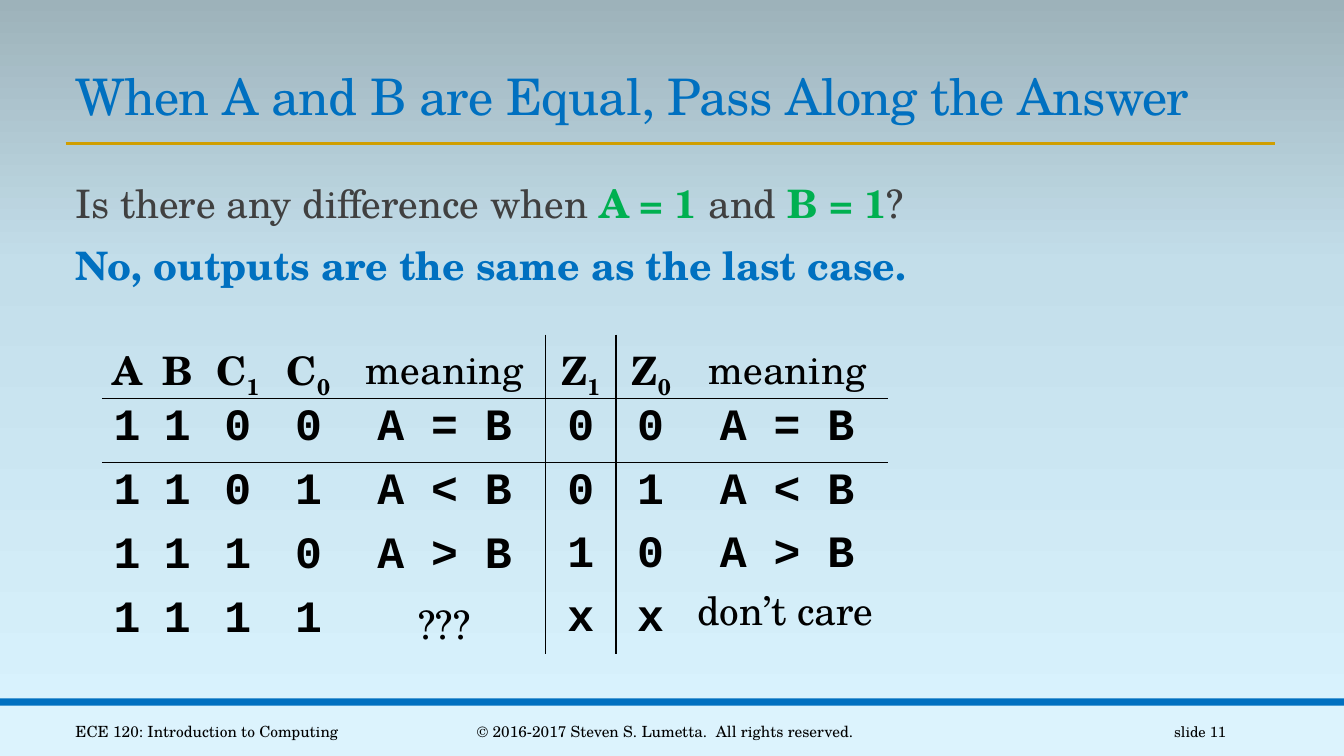
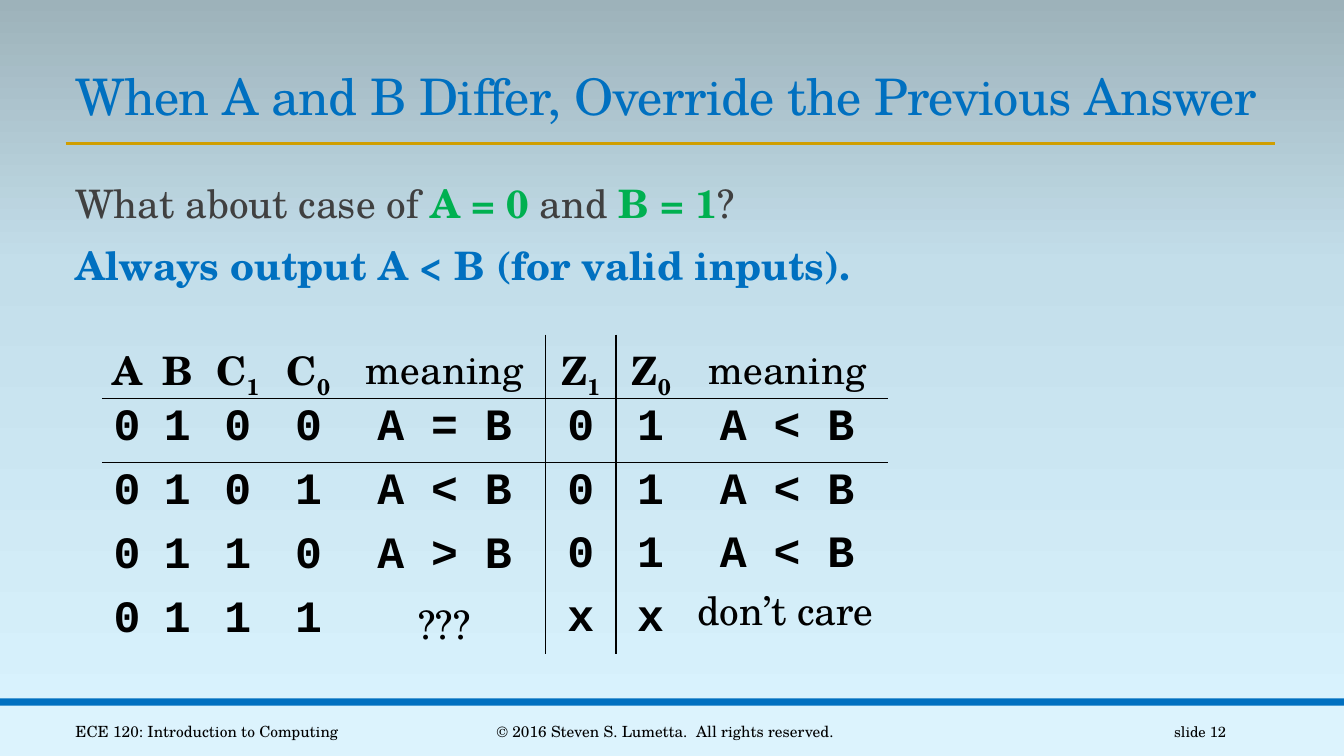
from copy import deepcopy
from dataclasses import dataclass

from lxml import etree
from pptx import Presentation
from pptx.dml.color import RGBColor as RGB
from pptx.enum.shapes import MSO_CONNECTOR as Connector, MSO_SHAPE as Shape
from pptx.enum.text import MSO_ANCHOR as Anchor, MSO_AUTO_SIZE as AutoSize, PP_ALIGN as Align
from pptx.oxml.ns import qn
from pptx.util import Inches, Pt


@dataclass(frozen=True)
class Theme:
    blue: str = "0070C0"
    gold: str = "D09E00"
    green: str = "00B050"
    grey: str = "404040"
    black: str = "000000"
    band: str = "DCF3FD"
    backdrop: tuple = ((0, "DAF4FF"), (0.65, "C3DEEA"), (1, "9DB2BA"))
    serif: str = "TeX Gyre Schola"
    mono: str = "Courier New"
    title_size: float = 36
    body_size: float = 28
    code_size: float = 32
    footer_size: float = 11
    number_size: float = 10.5


T = Theme()
PAGE_W, PAGE_H = 13.33, 7.5
MARGIN = 0.65
NO_GRID_STYLE = "{2D5ABB26-0587-4C30-8999-92F81FD0307C}"

# Truth table: column widths, and headings as (symbol, subscript)
COLUMNS = (0.5, 0.5, 0.7, 0.7, 2, 0.7, 0.7, 2)
HEADINGS = (("A", ""), ("B", ""), ("C", "1"), ("C", "0"), ("meaning", ""),
            ("Z", "1"), ("Z", "0"), ("meaning", ""))
INPUT_COLUMNS = 5
HEADER_H, ROW_H = 0.47, 0.54
PREVIOUS = (("0", "0", "A = B"), ("0", "1", "A < B"),
            ("1", "0", "A > B"), ("1", "1", "???"))
DONT_CARE = ("x", "x", "don’t care")

SLIDES = (
    dict(number=11, title="When A and B are Equal, Pass Along the Answer",
         question=("Is there any difference when ", "A = 1", " and ", "B = 1", "?"),
         answer="No, outputs are the same as the last case.",
         rights="© 2016-2017 Steven S. Lumetta.  All rights reserved.",
         bits=("1", "1"),
         outputs=PREVIOUS[:3] + (DONT_CARE,)),
    dict(number=12, title="When A and B Differ, Override the Previous Answer",
         question=("What about case of ", "A = 0", " and ", "B = 1", "?"),
         answer="Always output A < B (for valid inputs).",
         rights="© 2016 Steven S. Lumetta.  All rights reserved.",
         bits=("0", "1"),
         outputs=(PREVIOUS[1],) * 3 + (DONT_CARE,)),
)


def style(run, size, color=T.black, bold=False, face=T.serif):
    run.font.size, run.font.bold, run.font.name = Pt(size), bold, face
    run.font.color.rgb = RGB.from_string(color)


def style_value(run, value):
    """Codes are bold monospace; words are plain serif."""
    if value in ("???", "don’t care"):
        style(run, T.body_size)
    else:
        style(run, T.code_size, bold=True, face=T.mono)


def add_label(slide, left, top, width, height, text):
    label = slide.shapes.add_textbox(Inches(left), Inches(top), Inches(width), Inches(height))
    label.text_frame.text = text
    return label.text_frame


def paint_backdrop(master):
    fill = master.background.fill
    fill.gradient()
    fill.gradient_angle = 90
    first = fill.gradient_stops[0]
    stop_list = first._gs.getparent()
    stop_list.append(deepcopy(stop_list[-1]))
    for stop, (position, color) in zip(fill.gradient_stops, T.backdrop):
        stop.position = position
        stop.color.rgb = RGB.from_string(color)


def add_frame(slide, number, rights):
    # Footer band and its upper edge
    for top, height, color in ((7, 0.5, T.band), (6.93, 0.07, T.blue)):
        band = slide.shapes.add_shape(Shape.RECTANGLE, 0, Inches(top),
                                      Inches(PAGE_W), Inches(height))
        band.shadow.inherit = False
        band.fill.solid()
        band.fill.fore_color.rgb = RGB.from_string(color)
        band.line.fill.background()

    # Rule under the title
    rule = slide.shapes.add_connector(Connector.STRAIGHT, Inches(MARGIN), Inches(1.42),
                                      Inches(MARGIN + 12), Inches(1.42))
    rule.line.color.rgb = RGB.from_string(T.gold)
    rule.line.width = Pt(2)
    etree.SubElement(rule._element.spPr, qn("a:effectLst"))

    # Footer texts
    for left, width, text, align, size in (
            (MARGIN, 3.25, "ECE 120: Introduction to Computing", Align.LEFT, T.footer_size),
            (4.03, 5.14, rights, Align.CENTER, T.footer_size),
            (10.83, 1.43, f"slide {number}", Align.RIGHT, T.number_size)):
        frame = add_label(slide, left, 7.06, width, 0.4, text)
        frame.word_wrap = True
        frame.vertical_anchor = Anchor.MIDDLE
        frame.paragraphs[0].alignment = align
        style(frame.paragraphs[0].runs[0], size)


def set_title(slide, text):
    title = slide.shapes.title
    title.left, title.top = Inches(MARGIN), Inches(0.59)
    title.width, title.height = Inches(12.01), Inches(0.71)
    frame = title.text_frame
    frame.text = text
    frame.auto_size = AutoSize.NONE
    frame.vertical_anchor = Anchor.BOTTOM
    line = frame.paragraphs[0]
    line.alignment, line.line_spacing = Align.LEFT, 0.85
    style(line.runs[0], T.title_size, T.blue)
    line.runs[0].font._element.set("spc", "-50")


def add_discussion(slide, left, top, question, answer):
    frame = add_label(slide, left, top, 8.52, 1.4, "")
    frame.word_wrap = True
    frame.margin_right = 0
    asked, answered = frame.paragraphs[0], frame.add_paragraph()
    for index, part in enumerate(question):
        run = asked.add_run()
        run.text = part
        is_case = index % 2 == 1
        style(run, T.body_size, T.green if is_case else T.grey, is_case)
    answered.text = answer
    style(answered.runs[0], T.body_size, T.blue, True)
    for line in frame.paragraphs:
        line.line_spacing = 0.9
        line.space_before, line.space_after = Pt(12), Pt(2)


def add_borders(cell, sides):
    """Draw the given sides, out of L, R, T and B in that order."""
    properties = cell._tc.get_or_add_tcPr()
    for side in sides:
        edge = etree.SubElement(properties, qn(f"a:ln{side}"), w=str(Pt(1)))
        paint = etree.SubElement(edge, qn("a:solidFill"))
        etree.SubElement(paint, qn("a:srgbClr"), val=T.black)


def add_truth_table(slide, left, top, bits, outputs):
    row_count = len(PREVIOUS) + 1
    holder = slide.shapes.add_table(row_count, len(COLUMNS), Inches(left), Inches(top),
                                    Inches(sum(COLUMNS)),
                                    Inches(HEADER_H + ROW_H * len(PREVIOUS)))
    table = holder.table
    table.first_row = table.horz_banding = False
    table._tbl.tblPr.find(qn("a:tableStyleId")).text = NO_GRID_STYLE
    for column, width in zip(table.columns, COLUMNS):
        column.width = Inches(width)
    for index, row in enumerate(table.rows):
        row.height = Inches(ROW_H if index else HEADER_H)

    # Rules: below the headings, and between inputs and outputs
    for r in range(row_count):
        for c in range(len(COLUMNS)):
            cell = table.cell(r, c)
            add_borders(cell, ("L" * (c == INPUT_COLUMNS) + "R" * (c == INPUT_COLUMNS - 1)
                               + "T" * (r == 1) + "B" * (r == 0)))
            cell.fill.background()

    # Headings
    for c, (symbol, subscript) in enumerate(HEADINGS):
        line = table.cell(0, c).text_frame.paragraphs[0]
        line.alignment = Align.CENTER
        for text in filter(None, (symbol, subscript)):
            run = line.add_run()
            run.text = text
            style(run, T.body_size, bold=symbol != "meaning")
        if subscript:
            line.runs[1].font._element.set("baseline", "-25000")

    # Inputs
    for r, previous in enumerate(PREVIOUS, 1):
        for c, value in enumerate(bits + previous):
            line = table.cell(r, c).text_frame.paragraphs[0]
            line.text = value
            line.alignment = Align.CENTER
            style_value(line.runs[0], value)

    add_outputs(slide, left + 4.52, top + 0.56, outputs)


def add_outputs(slide, left, top, outputs):
    """Set the output values over the right part of the table."""
    pitch = 0.63
    for r, (z1, z0, meaning) in enumerate(outputs):
        is_word = meaning == DONT_CARE[2]
        meaning_box = (1.29, 1.97, 0.57) if is_word else (1.51, 1.55, 0.64)
        for value, (dx, width, height) in ((z1, (0, 0.47, 0.64)),
                                           (z0, (0.69, 0.47, 0.64)),
                                           (meaning, meaning_box)):
            frame = add_label(slide, left + dx, top + r * pitch, width, height, value)
            frame.word_wrap = False
            frame.auto_size = AutoSize.SHAPE_TO_FIT_TEXT
            style_value(frame.paragraphs[0].runs[0], value)


def build_case(deck, number, title, question, answer, rights, bits, outputs):
    slide = deck.slides.add_slide(deck.slide_layouts[5])
    add_frame(slide, number, rights)
    set_title(slide, title)
    add_discussion(slide, MARGIN, 1.78, question, answer)
    add_truth_table(slide, 1.01, 3.32, bits, outputs)


def main():
    deck = Presentation()
    deck.slide_width, deck.slide_height = Inches(PAGE_W), Inches(PAGE_H)
    paint_backdrop(deck.slide_master)
    for case in SLIDES:
        build_case(deck, **case)
    deck.save("out.pptx")


if __name__ == "__main__":
    main()
